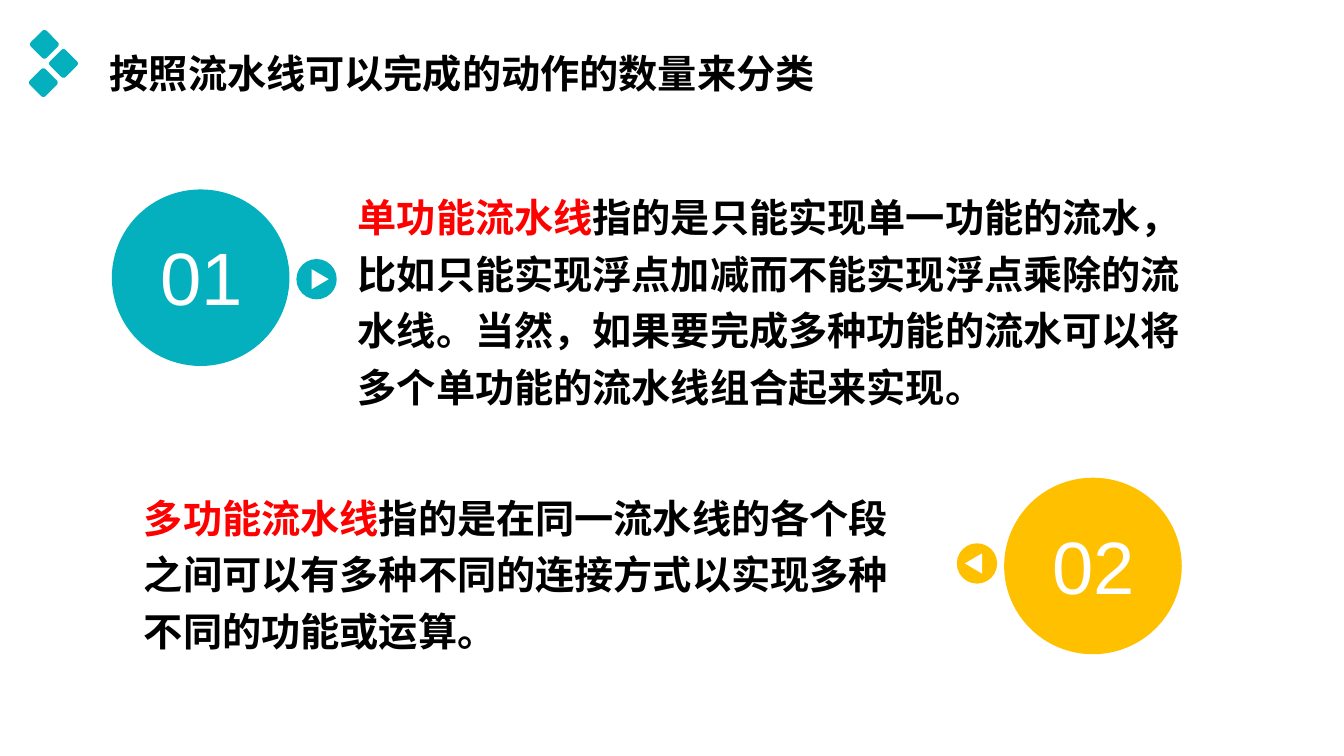
from lxml.etree import SubElement
from pptx import Presentation
from pptx.dml.color import RGBColor
from pptx.enum.shapes import MSO_SHAPE as Shape
from pptx.enum.text import MSO_AUTO_SIZE as Fit, PP_ALIGN as Align
from pptx.oxml.ns import qn
from pptx.util import Pt

PX = 9144
TEAL = RGBColor(0x04, 0xB0, 0xBE)
GOLD = RGBColor(0xFF, 0xC0, 0x00)
RED = RGBColor(0xFF, 0x00, 0x00)
BLACK = RGBColor(0x00, 0x00, 0x00)
WHITE = RGBColor(0xFF, 0xFF, 0xFF)
LATIN = "Arial"
HAN = "Noto Sans CJK SC"


def scale(*sizes):
    """Turn px into EMU."""
    return [size * PX for size in sizes]


def paint(shape, color, edge=0):
    """Fill a shape and give it an edge of the same colour, if any."""
    shape.shadow.inherit = False
    shape.fill.solid()
    shape.fill.fore_color.rgb = color
    if edge:
        shape.line.color.rgb = color
        shape.line.width = Pt(edge)
    else:
        shape.line.fill.background()


def write(slide, box, parts, size, face, bold=False):
    """Put one paragraph of coloured parts in a box and return it."""
    frame = slide.shapes.add_textbox(*scale(*box)).text_frame
    frame.word_wrap = True
    frame.auto_size = Fit.SHAPE_TO_FIT_TEXT
    para = frame.paragraphs[0]
    for text, color in parts:
        run = para.add_run()
        run.text = text
        font = run.font
        font.size, font.bold, font.name = Pt(size), bold, face
        font.color.rgb = color
        SubElement(font._element, qn("a:ea"), typeface=face)
    return para


def header(slide, x, y, title):
    """Draw three rounded diamonds and the title beside them."""
    for dx, dy in ((4, 4), (23, 23), (3, 42)):
        gem = slide.shapes.add_shape(
            Shape.ROUNDED_RECTANGLE, *scale(x + dx, y + dy, 22, 22))
        gem.adjustments[0] = 0.14
        gem.rotation = 45
        paint(gem, TEAL)
    para = write(slide, (x + 70, y + 6, 735, 62), [(title, BLACK)], 28, HAN, True)
    para.line_spacing = 1.2


def badge(slide, x, y, label, color, way, drop):
    """Draw a numbered disc with a small arrow disc to its right (1) or left (-1)."""
    disc = slide.shapes.add_shape(Shape.OVAL, *scale(x, y, 172, 171))
    paint(disc, color, 3)
    left = x + 181 if way > 0 else x - 49
    top = y + drop
    dot = slide.shapes.add_shape(Shape.OVAL, *scale(left, top, 40, 40))
    paint(dot, color)
    mid, row = left + 20, top + 20
    pen = slide.shapes.build_freeform(mid + 12 * way, row, scale=PX)
    pen.add_line_segments([(mid - 5 * way, row + 10), (mid - 5 * way, row - 10)])
    paint(pen.convert_to_shape(), WHITE)
    para = write(slide, (x + 26, y + 35, 122, 99), [(label, WHITE)], 53, LATIN)
    para.alignment = Align.CENTER


def note(slide, box, term, text):
    """Write an indented definition with its term in red."""
    para = write(slide, box, [(term, RED), (text, BLACK)], 28, HAN, True)
    para.level = 1
    para.line_spacing = 1.2
    props = para._p.get_or_add_pPr()
    props.set("marL", str(50 * PX))
    props.set("indent", "0")


def main():
    """Build and save the slide."""
    deck = Presentation()
    deck.slide_width, deck.slide_height = scale(1333, 750)
    slide = deck.slides.add_slide(deck.slide_layouts[6])
    header(slide, 29, 29, "按照流水线可以完成的动作的数量来分类")
    badge(slide, 113, 190, "01", TEAL, 1, 67)
    badge(slide, 998, 476, "02", GOLD, -1, 63)
    note(slide, (295, 178, 910, 236), "单功能流水线",
         "指的是只能实现单一功能的流水，比如只能实现浮点加减而不能实现浮点乘除的流水线。"
         "当然，如果要完成多种功能的流水可以将多个单功能的流水线组合起来实现。")
    note(slide, (83, 476, 844, 180), "多功能流水线",
         "指的是在同一流水线的各个段之间可以有多种不同的连接方式以实现多种不同的功能或运算。")
    deck.save("out.pptx")


if __name__ == "__main__":
    main()
